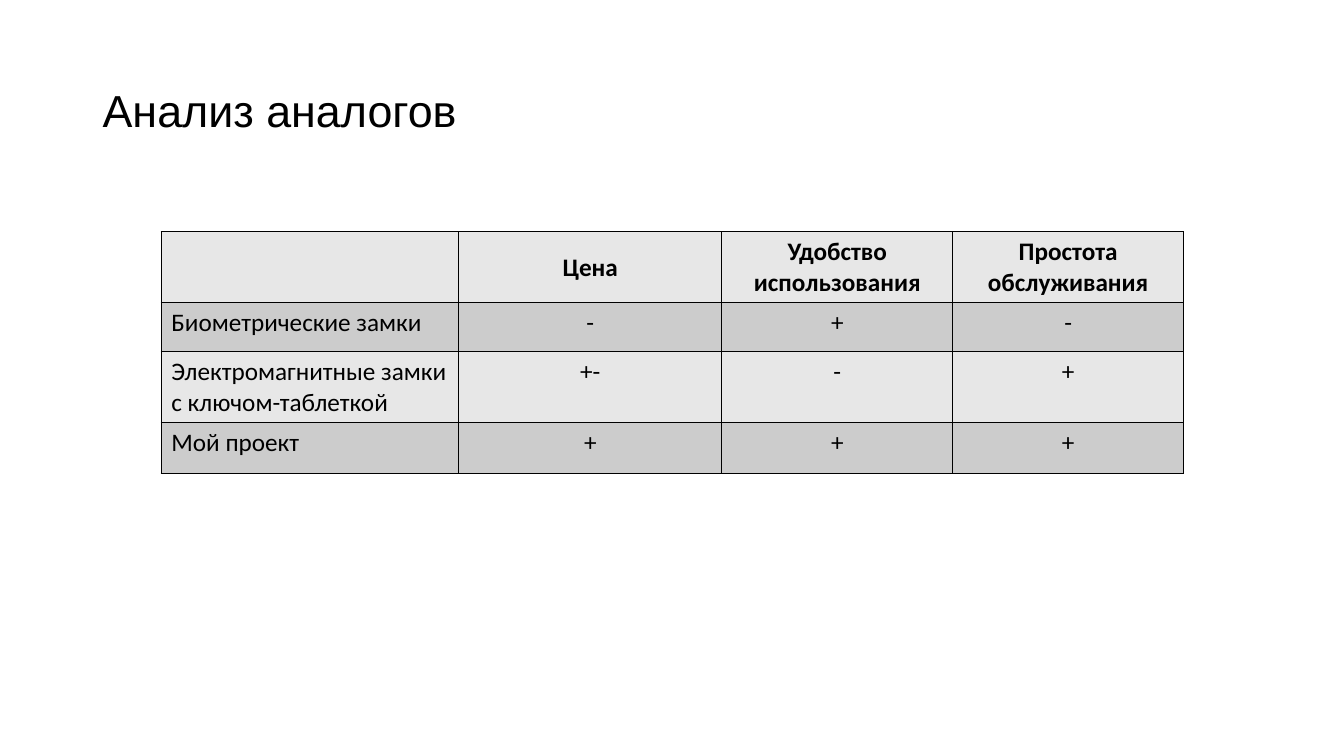
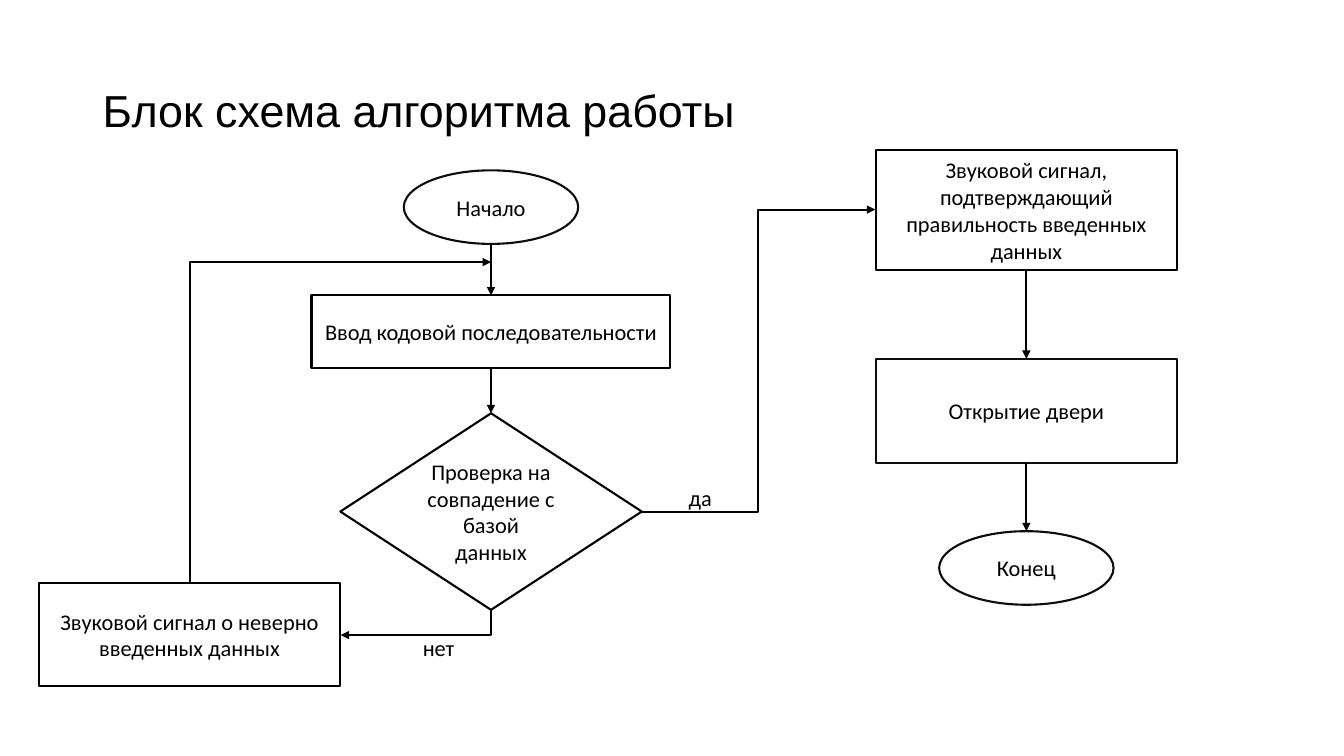
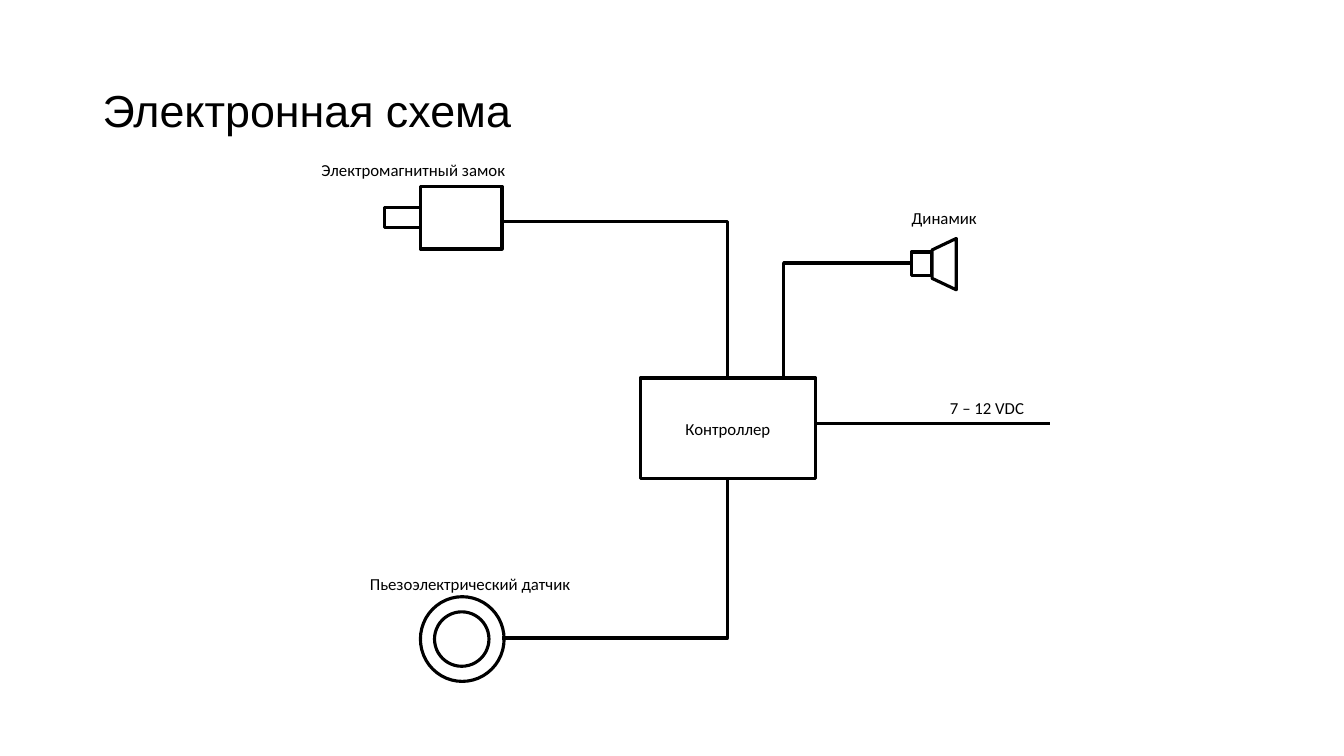
from pptx import Presentation
from pptx import util as u
from pptx.dml import color
from pptx.enum import shapes, text
from pptx.oxml import ns, xmlchemy
from lxml import etree

BLACK, SOFT_BLACK, WHITE = "000000", "0D0D0D", "FFFFFF"
LIGHT_ROW, DARK_ROW = "E7E7E7", "CCCCCC"
TITLE_FONT, BODY_FONT = "Arial", "Calibri"
FLOW_LINE, CIRCUIT_LINE = 1.5, 2.25
FLOW_SIZE, CIRCUIT_SIZE = 16, 12
LEFT_AXIS, RIGHT_AXIS = 4.87, 10.18
CORNER = 0.002
KIND = shapes.MSO_SHAPE
LEFT, CENTER = text.PP_ALIGN.LEFT, text.PP_ALIGN.CENTER


def rgb(value):
    return color.RGBColor.from_string(value)


def inches(*values):
    return [u.Inches(value) for value in values]


def add_xml(parent, tag, **attributes):
    return etree.SubElement(parent, ns.qn(tag), attributes)


def write(frame, content, size=18, font=BODY_FONT, bold=False, align=CENTER,
          spacing=None, anchor=None):
    frame.word_wrap = True
    if anchor is not None:
        frame.vertical_anchor = anchor
    paragraph = frame.paragraphs[0]
    paragraph.alignment = align
    if spacing:
        paragraph.line_spacing = spacing
    run = paragraph.add_run()
    run.text = content
    run.font.size = u.Pt(size)
    run.font.name = font
    run.font.bold = bold
    run.font.color.rgb = rgb(BLACK)


def add_label(slide, box, content, **style):
    shape = slide.shapes.add_textbox(*inches(*box))
    write(shape.text_frame, content, **style)


def add_slide(presentation, title):
    slide = presentation.slides.add_slide(presentation.slide_layouts[6])
    add_label(slide, (0.92, 0.4, 11.5, 1.45), title, size=32, font=TITLE_FONT,
              align=LEFT, spacing=0.9, anchor=text.MSO_ANCHOR.MIDDLE)
    return slide


def add_figure(slide, kind, box, content=None, size=CIRCUIT_SIZE, fill=None,
               line=BLACK, width=CIRCUIT_LINE):
    shape = slide.shapes.add_shape(kind, *inches(*box))
    shape.shadow.inherit = False
    if fill:
        shape.fill.solid()
        shape.fill.fore_color.rgb = rgb(fill)
    else:
        shape.fill.background()
    shape.line.color.rgb = rgb(line)
    shape.line.width = u.Pt(width)
    if content:
        write(shape.text_frame, content, size=size, anchor=text.MSO_ANCHOR.MIDDLE)
    return shape


def add_node(slide, kind, axis, top, width, height, content, line=BLACK):
    box = (axis - width / 2, top, width, height)
    return add_figure(slide, kind, box, content, FLOW_SIZE, WHITE, line, FLOW_LINE)


def add_line(slide, start, end, turn=None, width=CIRCUIT_LINE, arrow=False):
    kind = shapes.MSO_CONNECTOR.STRAIGHT if turn is None else shapes.MSO_CONNECTOR.ELBOW
    connector = slide.shapes.add_connector(kind, *inches(*start, *end))
    connector.line.color.rgb = rgb(BLACK)
    connector.line.width = u.Pt(width)
    properties = connector._element.spPr
    if turn is not None:
        guides = properties.find(".//" + ns.qn("a:avLst"))
        add_xml(guides, "a:gd", name="adj1", fmla=f"val {round(turn * 100000)}")
    if arrow:
        add_xml(properties.find(ns.qn("a:ln")), "a:tailEnd", type="triangle")
    add_xml(properties, "a:effectLst")
    return connector


def add_arrow(slide, start, end, turn=None):
    return add_line(slide, start, end, turn, FLOW_LINE, True)


def add_down_arrow(slide, axis, upper, lower):
    start = (axis, u.Length(upper.top + upper.height).inches)
    arrow = add_arrow(slide, start, (axis, lower.top.inches))
    if upper.auto_shape_type != KIND.OVAL:
        arrow.begin_connect(upper, 2)
    arrow.end_connect(lower, 0)


def format_cell(cell, fill):
    properties = cell._tc.get_or_add_tcPr()
    for side in "LRTB":
        border = add_xml(properties, f"a:ln{side}", w=str(u.Pt(1)))
        solid = add_xml(border, "a:solidFill")
        add_xml(solid, "a:srgbClr", val=BLACK)
    cell.fill.solid()
    cell.fill.fore_color.rgb = rgb(fill)


def build_comparison(presentation):
    slide = add_slide(presentation, "Анализ аналогов")
    rows = [
        ("", "Цена", "Удобство использования", "Простота обслуживания"),
        ("Биометрические замки", "-", "+", "-"),
        ("Электромагнитные замки с ключом-таблеткой", "+-", "-", "+"),
        ("Мой проект", "+", "+", "+"),
    ]
    frame = slide.shapes.add_table(4, 4, *inches(1.6, 2.3, 10.13, 2.02))
    table = frame.table
    for column, width in zip(table.columns, (2.95, 2.61, 2.29, 2.29)):
        column.width = u.Inches(width)
    for row, height in zip(table.rows, (0.51, 0.49, 0.51, 0.51)):
        row.height = u.Inches(height)
    for i, row in enumerate(rows):
        for j, content in enumerate(row):
            cell = table.cell(i, j)
            format_cell(cell, DARK_ROW if i % 2 else LIGHT_ROW)
            if content:
                write(cell.text_frame, content, bold=i == 0,
                      align=CENTER if i == 0 or j else LEFT,
                      spacing=1.5 if content == "Цена" else None)


def build_flowchart(presentation):
    slide = add_slide(presentation, "Блок схема алгоритма работы")
    start = add_node(slide, KIND.OVAL, LEFT_AXIS, 1.69, 1.73, 0.73, "Начало", SOFT_BLACK)
    code = add_node(slide, KIND.RECTANGLE, LEFT_AXIS, 2.93, 3.56, 0.72,
                    "Ввод кодовой последовательности")
    check = add_node(slide, KIND.DIAMOND, LEFT_AXIS, 4.1, 2.99, 1.95,
                     "Проверка на совпадение с базой данных")
    confirm = add_node(slide, KIND.RECTANGLE, RIGHT_AXIS, 1.49, 2.99, 1.19,
                       "Звуковой сигнал, подтверждающий правильность введенных данных")
    door = add_node(slide, KIND.RECTANGLE, RIGHT_AXIS, 3.56, 2.99, 1.03,
                    "Открытие двери", SOFT_BLACK)
    finish = add_node(slide, KIND.OVAL, RIGHT_AXIS, 5.27, 1.73, 0.73, "Конец", SOFT_BLACK)
    add_node(slide, KIND.RECTANGLE, 1.88, 5.78, 2.99, 1.03,
             "Звуковой сигнал о неверно введенных данных")
    for axis, chain in ((LEFT_AXIS, (start, code, check)),
                        (RIGHT_AXIS, (confirm, door, finish))):
        for upper, lower in zip(chain, chain[1:]):
            add_down_arrow(slide, axis, upper, lower)
    add_arrow(slide, (LEFT_AXIS, 6.05), (3.38, 6.3), CORNER)
    add_arrow(slide, (6.36, 5.08), (8.68, 2.08), 0.5)
    add_arrow(slide, (1.88, 5.78), (LEFT_AXIS, 2.6), CORNER)
    add_label(slide, (6.52, 4.75, 0.85, 0.37), "да", size=FLOW_SIZE)
    add_label(slide, (4.01, 6.24, 0.68, 0.37), "нет", size=FLOW_SIZE)


def build_circuit(presentation):
    slide = add_slide(presentation, "Электронная схема")
    add_line(slide, (10.41, 4.2), (8.09, 4.2))
    for start, end in (((7.22, 3.75), (4.98, 2.2)),
                       ((7.22, 4.75), (4.98, 6.33)),
                       ((7.77, 3.75), (9.04, 2.61))):
        add_line(slide, start, end, CORNER)
    add_figure(slide, KIND.RECTANGLE, (6.35, 3.75, 1.74, 1), "Контроллер")
    for kind, box in ((KIND.RECTANGLE, (4.17, 1.85, 0.81, 0.62)),
                      (KIND.OVAL, (4.17, 5.92, 0.83, 0.84)),
                      (KIND.OVAL, (4.31, 6.07, 0.54, 0.54)),
                      (KIND.RECTANGLE, (9.04, 2.5, 0.2, 0.23))):
        add_figure(slide, kind, box)
    horn = add_figure(slide, KIND.TRAPEZOID, (9.11, 2.5, 0.51, 0.24))
    horn.rotation = 270
    horn.adjustments[0] = 0.475
    add_figure(slide, KIND.RECTANGLE, (3.81, 2.06, 0.36, 0.2), fill=WHITE)
    for box, content, align in (
            ((3.09, 1.54, 2.08, 0.3), "Электромагнитный замок", LEFT),
            ((9.27, 3.9, 1.04, 0.3), "7 – 12 VDC", CENTER),
            ((3.57, 5.64, 2.53, 0.3), "Пьезоэлектрический датчик", LEFT),
            ((8.91, 2.01, 0.91, 0.3), "Динамик", CENTER)):
        add_label(slide, box, content, size=CIRCUIT_SIZE, align=align)


def main():
    presentation = Presentation()
    presentation.slide_width, presentation.slide_height = inches(13.33, 7.5)
    build_comparison(presentation)
    build_flowchart(presentation)
    build_circuit(presentation)
    presentation.save("out.pptx")


if __name__ == "__main__":
    main()
